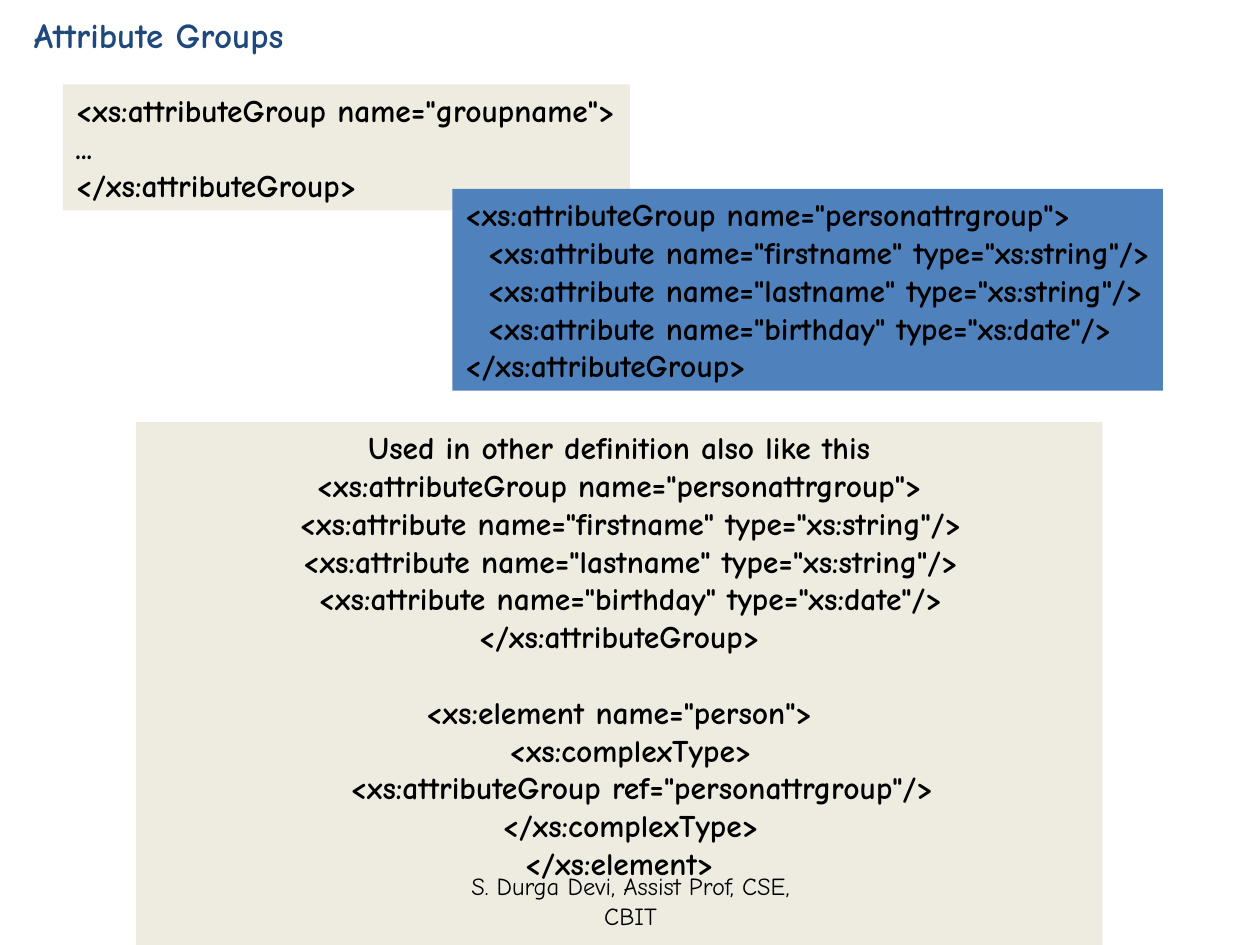
from dataclasses import dataclass
from typing import Optional

from pptx import Presentation
from pptx.dml.color import RGBColor
from pptx.enum.shapes import MSO_SHAPE
from pptx.enum.text import MSO_ANCHOR, PP_ALIGN
from pptx.util import Inches, Pt

RECT = MSO_SHAPE.RECTANGLE
TOP, MIDDLE = MSO_ANCHOR.TOP, MSO_ANCHOR.MIDDLE
LEFT, CENTER = PP_ALIGN.LEFT, PP_ALIGN.CENTER

WIDTH, HEIGHT = Inches(10), Inches(7.5)
COLS, ROWS = 100, 75
INDENT = 0.18
BLANK_LINE = 21.6
FONT = "Comic Neue"
BLACK, NAVY, BLUE, CREAM = "000000", "1F497D", "4F81BD", "EEECE1"


@dataclass
class Line:
    text: str
    level: int = 0
    before: float = 0


@dataclass
class Block:
    col: float
    row: float
    cols: float
    rows: float
    lines: list[Line]
    fill: Optional[str] = None
    color: str = BLACK
    size: int = 18
    bold: bool = True
    align: PP_ALIGN = LEFT
    anchor: MSO_ANCHOR = MIDDLE
    wrap: bool = True


def rgb(value: str) -> RGBColor:
    return RGBColor.from_string(value)


def set_attrs(target: object, values: dict) -> None:
    for name, value in values.items():
        setattr(target, name, value)


def add_line(p, line: Line, block: Block) -> None:
    set_attrs(p, {"alignment": block.align, "space_before": Pt(line.before)})
    if line.level:
        p._p.get_or_add_pPr().set("marL", str(Inches(INDENT * line.level)))
    r = p.add_run()
    r.text = line.text
    set_attrs(r.font, {"name": FONT, "size": Pt(block.size), "bold": block.bold})
    r.font.color.rgb = rgb(block.color)


def add_block(s, block: Block) -> None:
    cw, rh = WIDTH / COLS, HEIGHT / ROWS
    box = [int(v) for v in (block.col * cw, block.row * rh,
                            block.cols * cw, block.rows * rh)]
    if block.fill:
        sp = s.shapes.add_shape(RECT, *box)
        sp.shadow.inherit = False
        sp.fill.solid()
        sp.fill.fore_color.rgb = rgb(block.fill)
        sp.line.fill.background()
    else:
        sp = s.shapes.add_textbox(*box)
    tf = sp.text_frame
    set_attrs(tf, {"word_wrap": block.wrap, "vertical_anchor": block.anchor})
    for i, line in enumerate(block.lines):
        p = tf.add_paragraph() if i else tf.paragraphs[0]
        add_line(p, line, block)


def attribute(name: str, kind: str) -> Line:
    return Line(f'<xs:attribute name="{name}" type="xs:{kind}"/>', 1)


def attribute_group(name: str, body: list[Line]) -> list[Line]:
    return [Line(f'<xs:attributeGroup name="{name}">'), *body,
            Line("</xs:attributeGroup>")]


PERSON_GROUP = attribute_group("personattrgroup", [
    attribute("firstname", "string"),
    attribute("lastname", "string"),
    attribute("birthday", "date"),
])

USAGE = [
    Line("Used in other definition also like this"),
    *PERSON_GROUP,
    Line('<xs:element name="person">', before=BLANK_LINE),
    Line("<xs:complexType>", 1),
    Line('<xs:attributeGroup ref="personattrgroup"/>', 2),
    Line("</xs:complexType>", 1),
    Line("</xs:element>"),
]

BLOCKS = [
    Block(1.7, 0.6, 24.9, 7.7, [Line("Attribute Groups")],
          color=NAVY, size=20, anchor=TOP),
    Block(5, 6.7, 45, 10, attribute_group("groupname", [Line("...")]),
          fill=CREAM, wrap=False),
    Block(35.9, 15, 56.4, 16, PERSON_GROUP, fill=BLUE, wrap=False),
    Block(10.8, 33.5, 76.7, 43, USAGE, fill=CREAM, align=CENTER, anchor=TOP),
    Block(34.2, 69.5, 31.7, 4, [Line("S. Durga Devi, Assist Prof, CSE, CBIT")],
          size=14, bold=False, align=CENTER),
]


def main() -> None:
    prs = Presentation()
    set_attrs(prs, {"slide_width": WIDTH, "slide_height": HEIGHT})
    s = prs.slides.add_slide(prs.slide_layouts[6])
    for block in BLOCKS:
        add_block(s, block)
    prs.save("out.pptx")


if __name__ == "__main__":
    main()
